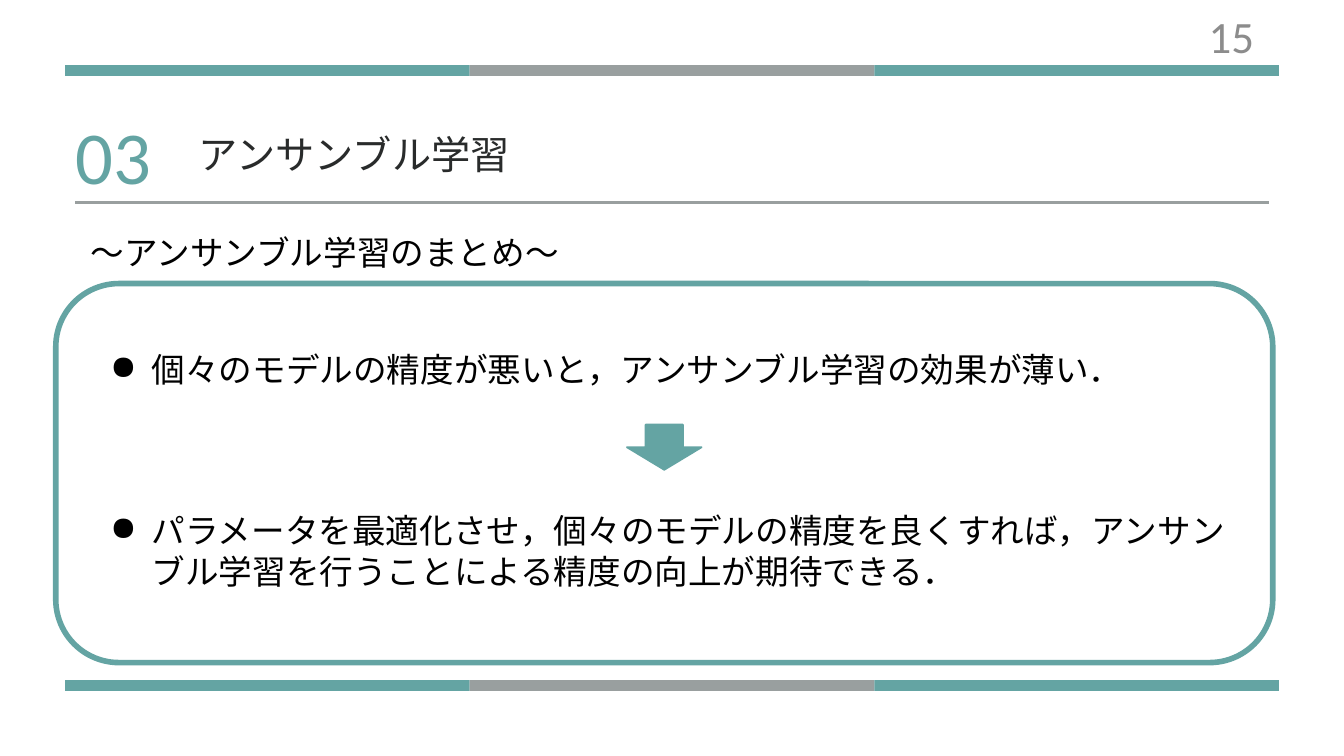
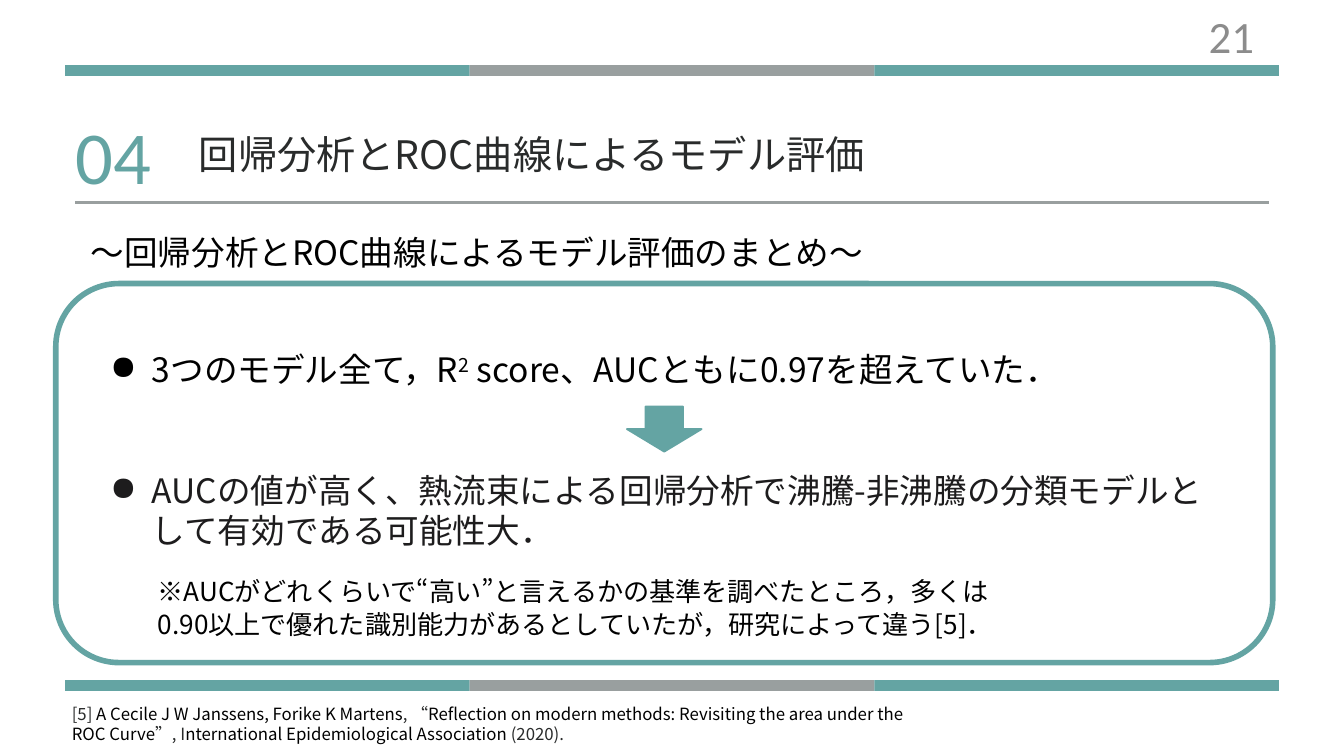
"""Build two summary slides on ensemble learning and model evaluation."""
from lxml.etree import SubElement
from pptx import Presentation
from pptx.dml.color import RGBColor
from pptx.enum.lang import MSO_LANGUAGE_ID
from pptx.enum.shapes import MSO_CONNECTOR, MSO_SHAPE
from pptx.enum.text import MSO_ANCHOR, MSO_AUTO_SIZE, PP_ALIGN
from pptx.oxml.ns import qn
from pptx.util import Inches, Pt

TEAL = RGBColor(0x64, 0xA4, 0xA3)
GRAY = RGBColor(0x99, 0x9F, 0x9F)
NUMBER_GRAY = RGBColor(0x8C, 0x8C, 0x8C)
CHARCOAL = RGBColor(0x29, 0x2B, 0x2B)
INK = RGBColor(0x1D, 0x1C, 0x1D)
BLACK = RGBColor(0, 0, 0)
JAPANESE = "Noto Sans CJK SC"
LATIN = "Calibri"
BLANK_LINE = 43

SLIDES = [
    {
        "page": "15",
        "section": "03",
        "title": "アンサンブル学習",
        "title_width": 4.88,
        "subtitle": "～アンサンブル学習のまとめ～",
        "subtitle_width": 7.61,
        "bullets": [
            [("個々のモデルの精度が悪いと，アンサンブル学習の効果が薄い．", BLACK)],
            [("パラメータを最適化させ，個々のモデルの精度を良くすれば，"
              "アンサンブル学習を行うことによる精度の向上が期待できる．", BLACK)],
        ],
        "bullets_height": 3.74,
        "gap_lines": 3,
        "arrow_top": 6.32,
    },
    {
        "page": "21",
        "section": "04",
        "title": "回帰分析とROC曲線によるモデル評価",
        "title_width": 10.7,
        "subtitle": "～回帰分析とROC曲線によるモデル評価のまとめ～",
        "subtitle_width": 12.42,
        "bullets": [
            [("3つのモデル全て，R", BLACK), ("2", BLACK, 30000),
             (" score、AUCともに0.97を超えていた．", BLACK)],
            [("AUCの値が高く、熱流束による回帰分析で沸騰-非沸騰の分類モデルと"
              "して有効である可能性大．", INK)],
        ],
        "bullets_height": 3.13,
        "gap_lines": 2,
        "arrow_top": 6.05,
        "note": "※AUCがどれくらいで“高い”と言えるかの基準を調べたところ，多くは"
                "0.90以上で優れた識別能力があるとしていたが，研究によって違う[5]．",
        "citation": [
            ("[5] ", CHARCOAL),
            ("A Cecile J W Janssens, Forike K Martens", BLACK),
            (", “", CHARCOAL),
            ("Reflection on modern methods: Revisiting the area under the ROC Curve", BLACK),
            ("”, I", CHARCOAL),
            ("nternational Epidemiological Association", BLACK),
            (" (2020).", CHARCOAL),
        ],
    },
]


def add_text(page, place, paragraphs, size, face=JAPANESE, bulleted=False, frame_format={}, para_format={}):
    """Add a text box whose paragraphs are lists of (text, colour, baseline) spans."""
    box = page.shapes.add_textbox(*map(Inches, place))
    frame = box.text_frame
    for name, value in {"word_wrap": True, **frame_format}.items():
        setattr(frame, name, value)
    for index, spans in enumerate(paragraphs):
        para = frame.paragraphs[0] if index == 0 else frame.add_paragraph()
        if bulleted:
            properties = para._p.get_or_add_pPr()
            properties.set("marL", str(Inches(0.62)))
            properties.set("indent", str(-Inches(0.62)))
            SubElement(properties, qn("a:buChar")).set("char", "●")
        for name, value in para_format.items():
            if name != "space_before" or index > 0:
                setattr(para, name, value)
        for text, color, *baseline in spans:
            span = para.add_run()
            span.text = text
            font_format = {"size": Pt(size), "name": face, "language_id": MSO_LANGUAGE_ID.JAPANESE}
            for name, value in font_format.items():
                setattr(span.font, name, value)
            span.font.color.rgb = color
            run_properties = span._r.get_or_add_rPr()
            SubElement(run_properties, qn("a:ea")).set("typeface", face)
            if baseline:
                run_properties.set("baseline", str(baseline[0]))


def add_figure(shapes, kind, place, fill=None, line=None, width=0):
    """Add a preset shape with the given fill and outline."""
    figure = shapes.add_shape(kind, *map(Inches, place))
    figure.shadow.inherit = False
    for part, color in ((figure.fill, fill), (figure.line.fill, line)):
        if color is None:
            part.background()
        else:
            part.solid()
            part.fore_color.rgb = color
    if line is not None:
        figure.line.width = Pt(width)


deck = Presentation()
deck.slide_width = Inches(20)
deck.slide_height = Inches(11.25)

FLUSH = dict.fromkeys(("margin_left", "margin_top", "margin_right", "margin_bottom"), 0)
GROW = {"auto_size": MSO_AUTO_SIZE.SHAPE_TO_FIT_TEXT}

for content in SLIDES:
    page = deck.slides.add_slide(deck.slide_layouts[6])

    for band_top in (0.97, 10.12):
        band = page.shapes.add_group_shape()
        for column, color in enumerate((TEAL, GRAY, TEAL)):
            add_figure(band.shapes, MSO_SHAPE.RECTANGLE,
                       (0.97 + 6.02 * column, band_top, 6.02, 0.16), color)

    rule = page.shapes.add_connector(MSO_CONNECTOR.STRAIGHT, *map(Inches, (1.12, 3.01, 18.88, 3.01)))
    rule.line.color.rgb = GRAY
    rule.line.width = Pt(3)
    SubElement(rule._element.spPr, qn("a:effectLst"))

    add_text(page, (2.96, 1.83, content["title_width"], 0.77), [[(content["title"], CHARCOAL)]], 42,
             frame_format={**FLUSH, **GROW}, para_format={"line_spacing": Pt(58.8)})
    add_text(page, (1.13, 1.41, 2.91, 1.51), [[(content["section"], TEAL)]], 80, LATIN,
             frame_format={**FLUSH, **GROW}, para_format={"line_spacing": Pt(112)})
    add_text(page, (16.43, 0.33, 2.33, 0.4), [[(content["page"], NUMBER_GRAY)]], 48, LATIN,
             frame_format={"vertical_anchor": MSO_ANCHOR.MIDDLE},
             para_format={"alignment": PP_ALIGN.RIGHT})
    add_text(page, (1.25, 3.4, content["subtitle_width"], 0.71), [[(content["subtitle"], BLACK)]], 36,
             frame_format=GROW)

    add_figure(page.shapes, MSO_SHAPE.ROUNDED_RECTANGLE, (0.83, 4.22, 18.11, 5.64), line=TEAL, width=6)
    add_text(page, (1.54, 5.15, 16.92, content["bullets_height"]), content["bullets"], 36, bulleted=True,
             frame_format=GROW, para_format={"space_before": Pt(BLANK_LINE * content["gap_lines"])})
    add_figure(page.shapes, MSO_SHAPE.DOWN_ARROW, (9.33, content["arrow_top"], 1.11, 0.67), TEAL, TEAL, 2)

    if "note" in content:
        add_text(page, (2.25, 8.49, 13.15, 1.06), [[(content["note"], BLACK)]], 28,
                 frame_format=GROW, para_format={"line_spacing": Pt(35.2)})
    if "citation" in content:
        add_text(page, (0.97, 10.42, 13.06, 0.71), [content["citation"]], 18, frame_format=GROW)

deck.save("out.pptx")
